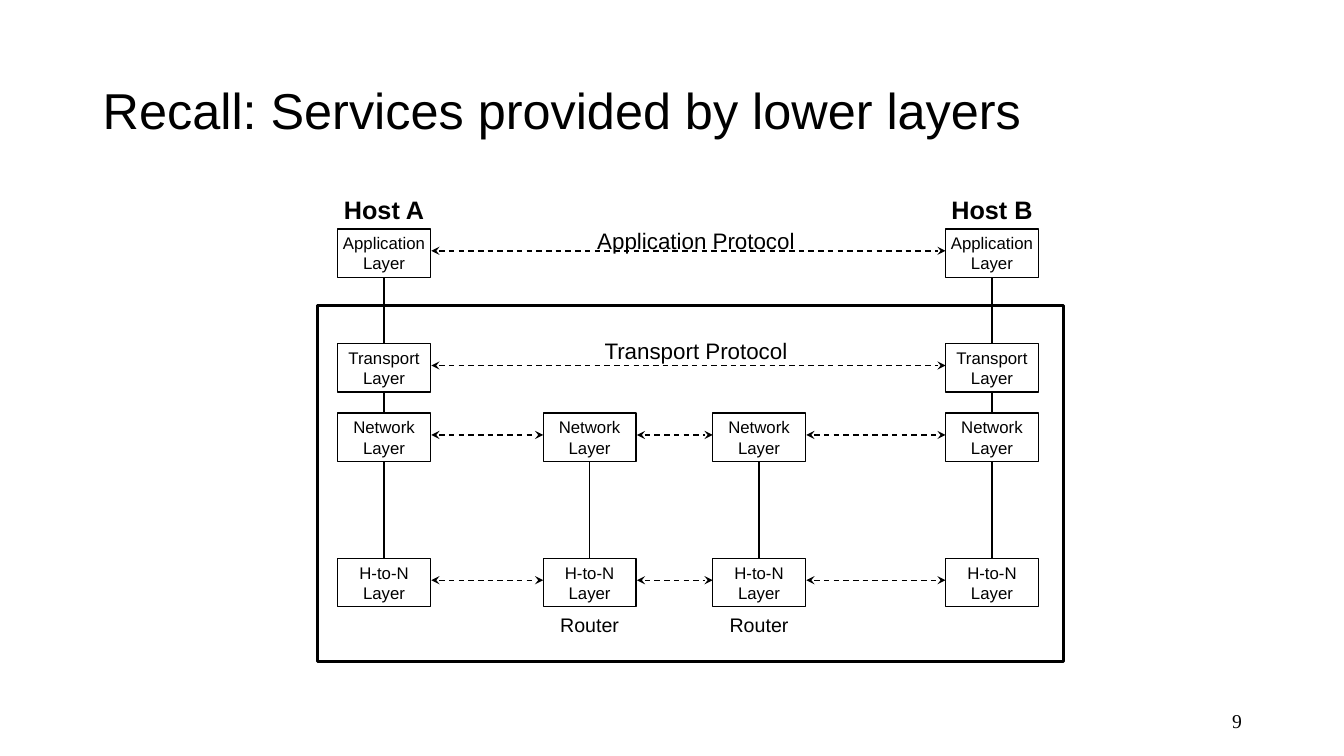
from dataclasses import dataclass
from itertools import pairwise

from lxml import etree
from pptx import Presentation
from pptx import util as u
from pptx.dml import color
from pptx.enum import dml, shapes, text
from pptx.oxml import ns
from pptx.shapes import autoshape, connector
from pptx.slide import Slide

HUES = {"ink": "000000", "paper": "FFFFFF"}
WIDE, HIGH = 2.34, 1.22
MID, DROP = 17.54, 0.55
ROWS = {"Application": 5.77, "Transport": 8.66, "Network": 10.41, "H-to-N": 14.07}
TOP, LAST = "Application", "H-to-N"
LOWER = ("Network", LAST)


@dataclass
class Node:
    left: float
    layers: tuple[str, ...]

    @property
    def mid(self) -> float:
        return self.left + WIDE / 2


@dataclass
class Label:
    words: str
    mid: float
    top: float
    wide: float
    high: float
    size: int
    bold: bool = False


def hue(name: str) -> color.RGBColor:
    return color.RGBColor.from_string(HUES[name])


def write(shape: autoshape.Shape, words: str, *, size: int, font: str = "Arial",
          bold: bool = False, align=text.PP_ALIGN.CENTER, wrap: bool = False,
          anchor=text.MSO_ANCHOR.MIDDLE, space: float | None = None) -> None:
    frame = shape.text_frame
    frame.text = words
    frame.word_wrap = wrap
    frame.vertical_anchor = anchor
    for para in frame.paragraphs:
        para.alignment = align
        para.line_spacing = space
        para.font.name = font
        para.font.size = u.Pt(size)
        para.font.bold = bold
        para.font.color.rgb = hue("ink")


def field(slide: Slide, left: float, top: float, wide: float, high: float) -> autoshape.Shape:
    return slide.shapes.add_textbox(u.Cm(left), u.Cm(top), u.Cm(wide), u.Cm(high))


def box(slide: Slide, left: float, top: float, wide: float, high: float,
        fill: str | None = None, line: float = 1) -> autoshape.Shape:
    shape = slide.shapes.add_shape(shapes.MSO_SHAPE.RECTANGLE,
                                   u.Cm(left), u.Cm(top), u.Cm(wide), u.Cm(high))
    shape.shadow.inherit = False
    if fill:
        shape.fill.solid()
        shape.fill.fore_color.rgb = hue(fill)
    else:
        shape.fill.background()
    shape.line.color.rgb = hue("ink")
    shape.line.width = u.Pt(line)
    return shape


def link(slide: Slide, left: float, top: float, right: float, base: float) -> connector.Connector:
    line = slide.shapes.add_connector(shapes.MSO_CONNECTOR.STRAIGHT,
                                      u.Cm(left), u.Cm(top), u.Cm(right), u.Cm(base))
    line.line.color.rgb = hue("ink")
    line.line.width = u.Pt(1)
    etree.SubElement(line.element.spPr, ns.qn("a:effectLst"))
    return line


def arrow(slide: Slide, left: float, right: float, row: float) -> None:
    line = link(slide, left, row, right, row).line
    line.dash_style = dml.MSO_LINE.DASH
    for end in ("a:headEnd", "a:tailEnd"):
        etree.SubElement(line._get_or_add_ln(), ns.qn(end), type="stealth")


def label(slide: Slide, tag: Label) -> None:
    shape = field(slide, tag.mid - tag.wide / 2, tag.top, tag.wide, tag.high)
    write(shape, tag.words, size=tag.size, bold=tag.bold, anchor=text.MSO_ANCHOR.TOP)


def stack(slide: Slide, node: Node) -> None:
    link(slide, node.mid, ROWS[node.layers[0]] + HIGH, node.mid, ROWS[LAST])
    for name in node.layers:
        shape = box(slide, node.left, ROWS[name], WIDE, HIGH, "paper")
        write(shape, f"{name}\nLayer", size=12)


def main() -> None:
    deck = Presentation()
    deck.slide_width, deck.slide_height = u.Cm(33.87), u.Cm(19.05)
    slide = deck.slides.add_slide(deck.slide_layouts[6])

    write(field(slide, 2.34, 1.02, 29.21, 3.68), "Recall: Services provided by lower layers",
          size=36, align=text.PP_ALIGN.LEFT, wrap=True, space=0.9)
    write(field(slide, 23.93, 17.65, 7.62, 1.02), "9", size=14, font="Times New Roman",
          align=text.PP_ALIGN.RIGHT, wrap=True)

    nodes = [Node(8.51, tuple(ROWS)), Node(13.69, LOWER),
             Node(17.96, LOWER), Node(23.83, tuple(ROWS))]
    for node in nodes:
        stack(slide, node)
    for name, top in ROWS.items():
        peers = [node for node in nodes if name in node.layers]
        for one, two in pairwise(peers):
            arrow(slide, one.left + WIDE + 0.02, two.left, top + DROP)

    host_a, hop_a, hop_b, host_b = nodes
    tags = [
        Label("Host A", host_a.mid, 4.78, 2.57, 1.02, 18, True),
        Label("Host B", host_b.mid, 4.78, 2.57, 1.02, 18, True),
        Label("Application Protocol", MID, 5.61, 5.49, 0.94, 16),
        Label("Transport Protocol", MID, 8.36, 5.16, 0.94, 16),
        Label("Router", hop_a.mid, 15.32, 2.01, 0.86, 14),
        Label("Router", hop_b.mid, 15.32, 2.01, 0.86, 14),
    ]
    for tag in tags:
        label(slide, tag)
    box(slide, 8, 7.7, 18.8, 8.97, line=2)
    deck.save("out.pptx")


if __name__ == "__main__":
    main()
